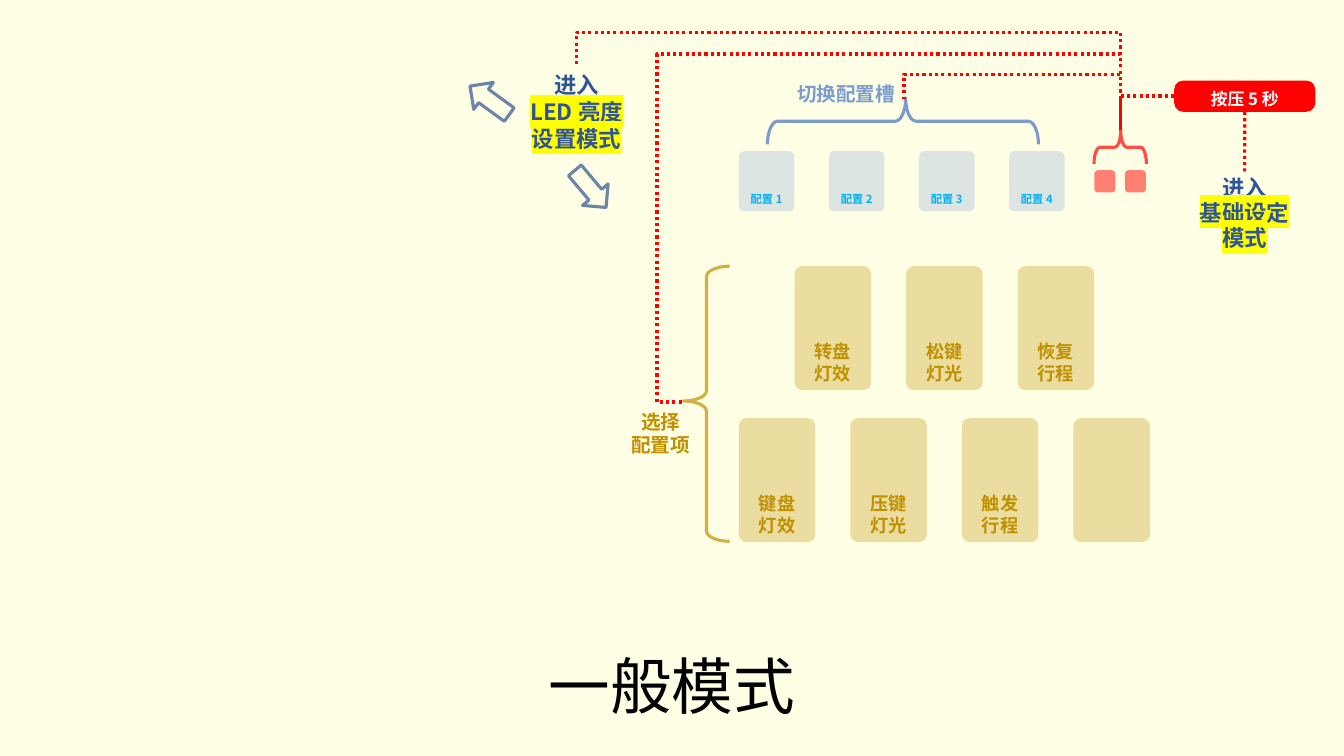
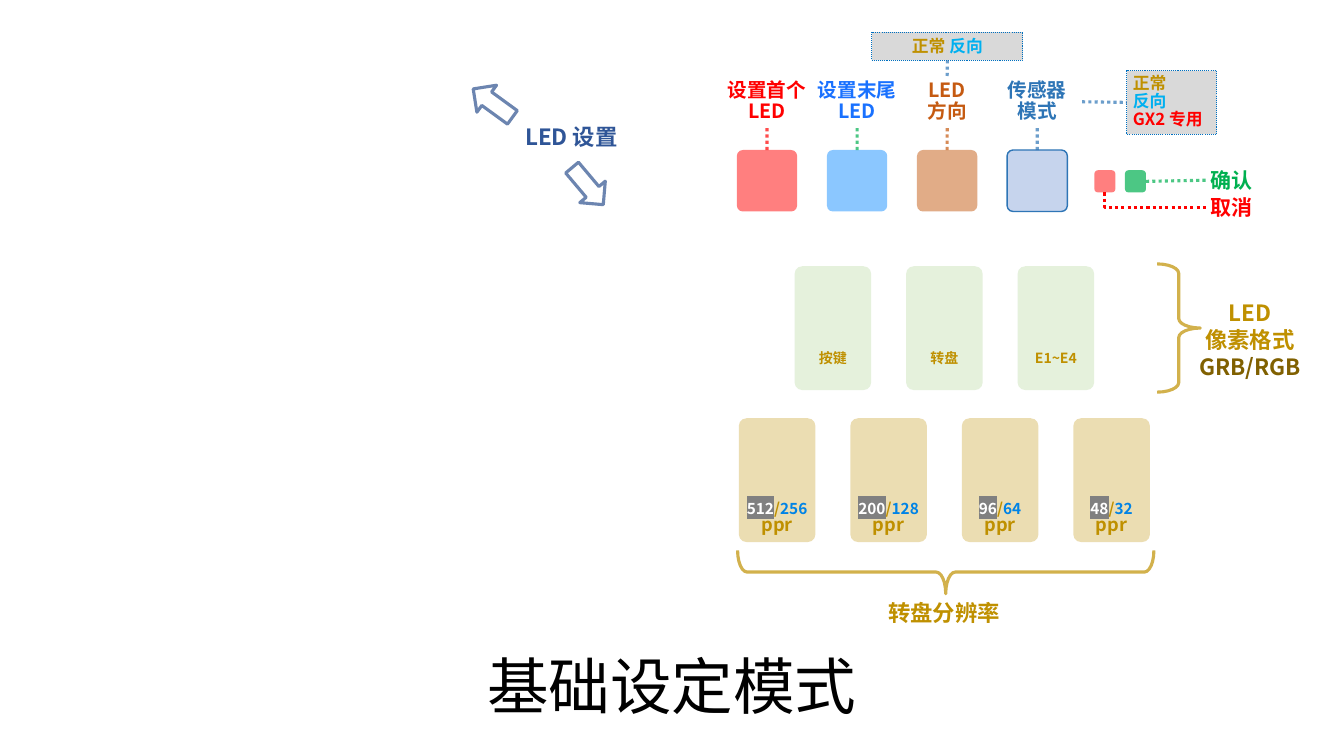
import copy
import dataclasses

import lxml.etree
import pptx
import pptx.dml.color
import pptx.enum.dml
import pptx.enum.shapes
import pptx.enum.text
import pptx.oxml.ns
import pptx.util

Cm = pptx.util.Cm
Pt = pptx.util.Pt
qn = pptx.oxml.ns.qn
SHAPE = pptx.enum.shapes.MSO_SHAPE
LINK = pptx.enum.shapes.MSO_CONNECTOR
ALIGN = pptx.enum.text.PP_ALIGN
ANCHOR = pptx.enum.text.MSO_ANCHOR
DOT = pptx.enum.dml.MSO_LINE.ROUND_DOT


@dataclasses.dataclass(frozen=True)
class Theme:
    font: str = "Noto Sans CJK SC"
    # Colours
    cream: str = "FFFFE5"
    white: str = "FFFFFF"
    black: str = "000000"
    red: str = "FF0000"
    green: str = "00B050"
    gold: str = "BF9000"
    brown: str = "806000"
    rust: str = "C55A11"
    leaf: str = "A9D18E"
    navy: str = "2F5597"
    ink: str = "2F528F"
    steel: str = "2E75B6"
    royal: str = "4472C4"
    mist: str = "8FAADC"
    haze: str = "7C9DCE"
    sky: str = "00B0F0"
    azure: str = "1991FF"
    cobalt: str = "1971FF"
    blue: str = "0083E6"
    edge: str = "0070C0"
    pale: str = "D9D9D9"
    gray: str = "808080"
    yellow: str = "FFFF00"
    # Type sizes
    title: int = 44
    large: int = 16
    answer: int = 15
    head: int = 14
    key: int = 13
    note: int = 12
    count: int = 11
    small: int = 10
    tiny: int = 8
    # Line widths
    thick: float = 2.25
    thin: float = 0.75


T = Theme()
TALL = (1.93, 3.12)   # large key
LEFT = 18.62          # first key column
STEP = 2.81           # large key pitch
PITCH = 2.27          # small key pitch
ROWS = (6.71, 10.54)  # tops of the large key rows
PAD = (0.1, 0.1, 0.1, 0.1)


# Paint and text

def paint(fill, colour, alpha=100):
    fill.solid()
    fill.fore_color.rgb = pptx.dml.color.RGBColor.from_string(colour)
    if alpha < 100:
        node = fill._xPr.find(qn("a:solidFill"))[0]
        lxml.etree.SubElement(node, qn("a:alpha"), val=str(alpha * 1000))


def stroke(line, colour, width=T.thick, alpha=100, dash=None):
    paint(line.fill, colour, alpha)
    line.width = Pt(width)
    if dash:
        line.dash_style = dash


def style(run, size, colour, bold=True, mark=None):
    font = run.font
    font.size, font.bold = Pt(size), bold
    paint(font.fill, colour)
    font.name = T.font
    props = run._r.rPr
    lxml.etree.SubElement(props, qn("a:ea"), typeface=T.font)
    if mark:
        glow = lxml.etree.Element(qn("a:highlight"))
        lxml.etree.SubElement(glow, qn("a:srgbClr"), val=mark)
        props.find(qn("a:solidFill")).addnext(glow)


def write(shape, text, align=ALIGN.CENTER, anchor=ANCHOR.TOP, pad=PAD,
          lead=None, **look):
    """Text is a string or a list of paragraphs; each is a list of (text, changes)."""
    frame = shape.text_frame
    frame.word_wrap = True
    frame.vertical_anchor = anchor
    (frame.margin_left, frame.margin_top,
     frame.margin_right, frame.margin_bottom) = map(Cm, pad)
    paras = [[(text, {})]] if isinstance(text, str) else text
    for i, parts in enumerate(paras):
        para = frame.add_paragraph() if i else frame.paragraphs[0]
        para.alignment = align
        if lead:
            para.line_spacing = lead
        for words, change in parts:
            for j, row in enumerate(words.split("\n")):
                if j:
                    para.add_line_break()
                    para._p[-1].append(copy.deepcopy(run._r.rPr))
                if row:
                    run = para.add_run()
                    run.text = row
                    style(run, **{**look, **change})


def label(slide, box, text, **look):
    shape = slide.shapes.add_textbox(*map(Cm, box))
    write(shape, text, **look)
    return shape


# Shapes and lines

def block(slide, kind, box, fill=None, alpha=100, adjust=(), turn=0):
    shape = slide.shapes.add_shape(kind, *map(Cm, box))
    shape.shadow.inherit = False
    shape.rotation = turn
    for i, value in enumerate(adjust):
        shape.adjustments[i] = value
    if fill:
        paint(shape.fill, fill, alpha)
    else:
        shape.fill.background()
    shape.line.fill.background()
    return shape


def key(slide, box, fill, alpha=30, curve=0.1):
    return block(slide, SHAPE.ROUNDED_RECTANGLE, box, fill, alpha, (curve,))


def brace(slide, box, colour, adjust, turn=0):
    shape = block(slide, SHAPE.LEFT_BRACE, box, adjust=adjust, turn=turn)
    stroke(shape.line, colour, alpha=70)


def arrows(slide, *spots):
    for (x, y), turn in zip(spots, (36, 229.9)):
        shape = block(slide, SHAPE.LEFT_ARROW, (x, y, 1.22, 0.84), turn=turn)
        stroke(shape.line, T.ink, alpha=70)


def link(slide, kind, start, end, colour, alpha=100):
    line = slide.shapes.add_connector(kind, *map(Cm, start + end))
    lxml.etree.SubElement(line._element.spPr, qn("a:effectLst"))
    stroke(line.line, colour, alpha=alpha, dash=DOT)
    return line


def join(slide, colour, first, last, alpha=70):
    """Straight dots; each end is a point or a (shape, side) pair."""
    ends = [(0, 0) if hasattr(e[0], "shape_id") else e for e in (first, last)]
    line = link(slide, LINK.STRAIGHT, *ends, colour, alpha)
    if first is not ends[0]:
        line.begin_connect(*first)
    if last is not ends[1]:
        line.end_connect(*last)


def bend(slide, start, end, adjust=(), upright=True):
    """Red dotted elbow that leaves its start upright or level."""
    (x1, y1), (x2, y2) = start, end
    if upright:  # frame turned by a quarter about the midpoint
        mx, my = (x1 + x2) / 2, (y1 + y2) / 2
        dx, dy = (y1 - y2) / 2, (x2 - x1) / 2
        start, end = (mx - dx, my - dy), (mx + dx, my + dy)
    line = link(slide, LINK.ELBOW, start, end, T.red)
    props = line._element.spPr
    if upright:
        props.find(qn("a:xfrm")).set("rot", str(270 * 60000))
    geom = props.find(qn("a:prstGeom"))
    geom.set("prst", f"bentConnector{len(adjust) + 2}")
    guides = geom.find(qn("a:avLst"))
    for i, value in enumerate(adjust, 1):
        name = f"adj{i}" if len(adjust) > 1 else "adj1"
        lxml.etree.SubElement(guides, qn("a:gd"), name=name,
                              fmla=f"val {round(value * 100000)}")


# Parts both slides share

def start(deck, title, back):
    slide = deck.slides.add_slide(deck.slide_layouts[6])
    paint(slide.background.fill, back)
    label(slide, (0, 16.41, 33.87, 2.64), title, pad=(0.25, 0.13, 0.25, 0.13),
          lead=0.9, size=T.title, colour=T.black, bold=False)
    return slide


def pair(slide, *looks):
    return [key(slide, (27.58 + 0.77 * i, 4.29, 0.53, 0.56), *look, curve=0.17)
            for i, look in enumerate(looks)]


def row(slide, level, fill, texts, **look):
    shift = STEP / 2 if level == 0 else 0
    for i, text in enumerate(texts):
        shape = key(slide, (LEFT + shift + STEP * i, ROWS[level], *TALL), fill)
        if text:
            write(shape, text, anchor=ANCHOR.BOTTOM, **look)


# Slides

def normal(deck):
    slide = start(deck, "一般模式", T.cream)
    pair(slide, (T.red, 50), (T.red, 50))
    brace(slide, (27.81, 3.05, 0.84, 1.32), T.red, (0.18, 0.49), 90)

    # Long press
    pill = block(slide, SHAPE.ROUNDED_RECTANGLE, (29.59, 2.03, 3.56, 0.79),
                 T.red, adjust=(0.29,))
    write(pill, "按压 5 秒", pad=(0.1, 0, 0.1, 0), lead=Pt(18),
          size=T.note, colour=T.white)
    mark = {"mark": T.yellow}
    enter = label(slide, (29.97, 4.32, 2.79, 2.13),
                  [[("进入", {})], [("基础设定", mark)], [("模式", mark)]],
                  lead=Pt(18), size=T.large, colour=T.navy)
    join(slide, T.red, (pill, 2), (enter, 0), alpha=100)

    # Option keys
    look = {"size": T.key, "colour": T.gold}
    row(slide, 0, T.gold, ("转盘\n灯效", "松键\n灯光", "恢复\n行程"), **look)
    row(slide, 1, T.gold, ("键盘\n灯效", "压键\n灯光", "触发\n行程", ""), **look)
    brace(slide, (17.22, 6.71, 1.17, 6.93), T.gold, (0.22, 0.49))
    wide = (0.25, 0.13, 0.25, 0.13)
    label(slide, (15.27, 10.19, 2.77, 1.45), "选择\n配置项", pad=wide,
          size=T.head, colour=T.gold)

    # Brightness mode
    label(slide, (13.08, 1.7, 2.9, 2.26),
          [[("进入\n", {}), ("LED 亮度设置模式", mark)]],
          size=T.large, colour=T.navy)
    arrows(slide, (11.73, 2.11), (14.27, 4.34))

    # Profile slots
    for i in range(4):
        slot = key(slide, (LEFT + PITCH * i, 3.81, 1.4, 1.52), T.mist)
        write(slot, f"配置 {i + 1}", anchor=ANCHOR.BOTTOM,
              size=T.tiny, colour=T.sky)
    brace(slide, (22.17, -0.36, 1.17, 6.83), T.royal, (0.22, 0.49), 90)
    label(slide, (19.66, 1.93, 3.33, 0.86), "切换配置槽", pad=wide,
          size=T.head, colour=T.haze)

    # Dotted routes from the two small keys
    tip = (28.24, 3.28)
    bend(slide, tip, (17.22, 10.13), (-0.28, 1.06))
    bend(slide, tip, (14.53, 1.7), (1.56,))
    bend(slide, tip, (22.78, 2.49), (1.78,))
    bend(slide, (29.59, 2.42), tip, upright=False)


def setup(deck):
    slide = start(deck, "基础设定模式", T.white)
    cancel, accept = pair(slide, (T.red, 50), (T.green, 70))

    # Coloured keys with their headings
    heads = []
    for i, (text, fill, ink, dots, width) in enumerate((
            ("设置首个\nLED", T.red, T.red, T.red, 2.46),
            ("设置末尾\nLED", T.azure, T.cobalt, T.green, 2.46),
            ("LED\n方向", T.rust, T.rust, T.rust, 3.02),
            ("传感器\n模式", T.mist, T.steel, T.steel, 2.26))):
        mid = 19.33 + PITCH * i
        shape = key(slide, (mid - 0.76, 3.78, 1.52, 1.55), fill, 50)
        heads.append(label(slide, (mid - width / 2, 1.93, width, 1.27), text,
                           lead=0.9, size=T.head, colour=ink))
        join(slide, dots, (mid, 3.23), (shape, 0))
    stroke(shape.line, T.steel, 1)

    # Confirm and cancel
    look = {"align": ALIGN.LEFT, "pad": (0.1, 0, 0.1, 0), "size": T.answer}
    yes = label(slide, (30.4, 4.22, 1.52, 0.64), "确认", colour=T.green, **look)
    label(slide, (30.4, 4.9, 2.18, 0.64), "取消", colour=T.red, **look)
    join(slide, T.green, (accept, 3), (yes, 1))
    bend(slide, (27.84, 4.85), (30.4, 5.22))

    # Colour legends
    legends = []
    for box, text, look in (
            ((21.97, 0.81, 3.81, 0.71),
             [[("正常 ", {}), ("反向", {"colour": T.sky})]],
             {"lead": Pt(14)}),
            ((28.4, 1.78, 2.26, 1.6),
             [[("正常", {})],
              [("反向\n", {"colour": T.sky}), ("GX2 专用", {"colour": T.red})]],
             {"lead": Pt(13), "align": ALIGN.LEFT,
              "pad": (0.15, 0.1, 0.1, 0.1)})):
        shape = block(slide, SHAPE.RECTANGLE, box, T.pale)
        stroke(shape.line, T.edge, T.thin, dash=DOT)
        write(shape, text, size=T.note, colour=T.gold, **look)
        legends.append(shape)
    join(slide, T.steel, (legends[0], 2), (heads[2], 0))
    join(slide, T.steel, (heads[3], 3), (legends[1], 1))

    # LED setting
    label(slide, (12.95, 3, 2.9, 0.89), "LED 设置", size=T.large, colour=T.navy)
    arrows(slide, (11.81, 2.18), (14.2, 4.27))

    # Pixel format
    row(slide, 0, T.leaf, ("按键", "转盘", "E1~E4"), pad=(0.1, 0.13, 0.1, 0.55),
        size=T.small, colour=T.gold)
    brace(slide, (29.16, 6.65, 1.09, 3.23), T.gold, (0.22, 0.5), 180)
    label(slide, (29.85, 7.44, 3.3, 2.26),
          [[("LED\n像素格式", {})], [("GRB/RGB", {"colour": T.brown})]],
          size=T.large, colour=T.gold)

    # Dial resolution
    rates = [[[(high, {"colour": T.white, "mark": T.gray}), ("/", {}),
               (low + "\n", {"colour": T.blue}), ("ppr", {"size": T.key})]]
             for high, low in (("512", "256"), ("200", "128"),
                               ("96", "64"), ("48", "32"))]
    row(slide, 1, T.gold, rates, pad=(0, 0.13, 0, 0.13), lead=0.8,
        size=T.count, colour=T.gold)
    brace(slide, (23.29, 9.17, 1.09, 10.49), T.gold, (0.22, 0.5), 270)
    label(slide, (20.9, 14.99, 5.79, 0.89), "转盘分辨率",
          size=T.large, colour=T.gold)


def main():
    deck = pptx.Presentation()
    deck.slide_width, deck.slide_height = Cm(33.87), Cm(19.05)
    normal(deck)
    setup(deck)
    deck.save("out.pptx")


if __name__ == "__main__":
    main()
